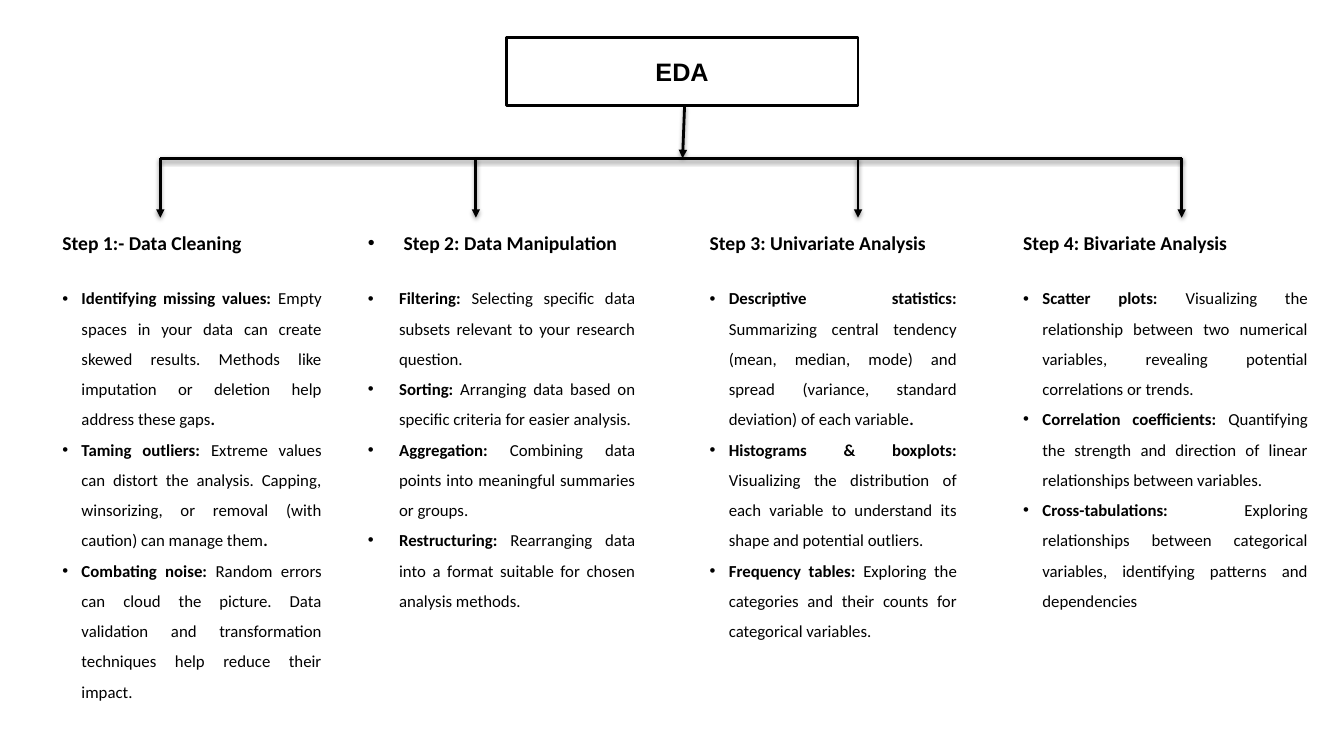
from lxml import etree
from pptx import Presentation
from pptx.dml.color import RGBColor
from pptx.enum import shapes, text
from pptx.oxml import parse_xml
from pptx.oxml.ns import nsdecls, qn
from pptx.util import Inches, Pt

BLACK = RGBColor(0, 0, 0)
WHITE = RGBColor(255, 255, 255)

# left, width, height, indent, arrow x, heading, bulleted heading, points
STEPS = [
    (0.52, 2.77, 5.2, 0.19, 1.59, "Step 1:- Data Cleaning", False, [
        ("Identifying missing values: ",
         "Empty spaces in your data can create skewed results. Methods like "
         "imputation or deletion help address these gaps", ". "),
        ("Taming outliers: ",
         "Extreme values can distort the analysis. Capping, winsorizing, or "
         "removal (with caution) can manage them", ". "),
        ("Combating noise: ",
         "Random errors can cloud the picture. Data validation and "
         "transformation techniques help reduce their impact. "),
    ]),
    (3.55, 2.85, 3.87, 0.31, 4.72, " Step 2: Data Manipulation", True, [
        ("Filtering: ",
         "Selecting specific data subsets relevant to your research question."),
        ("Sorting: ",
         "Arranging data based on specific criteria for easier analysis."),
        ("Aggregation: ",
         "Combining data points into meaningful summaries or groups."),
        ("Restructuring: ",
         "Rearranging data into a format suitable for chosen analysis methods."),
    ]),
    (6.94, 2.65, 4.18, 0.19, 8.51, "Step 3: Univariate Analysis", False, [
        ("Descriptive statistics: ",
         "Summarizing central tendency (mean, median, mode) and spread "
         "(variance, standard deviation) of each variable", "."),
        ("Histograms & boxplots: ",
         "Visualizing the distribution of each variable to understand its "
         "shape and potential outliers."),
        ("Frequency tables: ",
         "Exploring the categories and their counts for categorical variables."),
    ]),
    (10.05, 3.02, 3.87, 0.19, 11.72, "Step 4: Bivariate Analysis", False, [
        ("Scatter plots: ",
         "Visualizing the relationship between two numerical variables, "
         "revealing potential correlations or trends."),
        ("Correlation coefficients: ",
         "Quantifying the strength and direction of linear relationships "
         "between variables."),
        ("Cross-tabulations: ",
         "Exploring relationships between categorical variables, identifying "
         "patterns and dependencies"),
    ]),
]
ROOT = (5.02, 0.37, 3.49, 0.68)
BAR_Y, TIP_Y, TEXT_Y = 1.57, 2.16, 2.24
SHADOW = (
    f'<a:effectLst {nsdecls("a")}><a:outerShdw blurRad="{Pt(3.1)}" '
    f'dist="{Pt(1.6)}" dir="5400000" rotWithShape="0"><a:srgbClr val="000000">'
    '<a:alpha val="38000"/></a:srgbClr></a:outerShdw></a:effectLst>')


def style(run, size, bold, face="Calibri"):
    font = run.font
    font.name, font.size, font.bold = face, Pt(size), bold
    font.color.rgb = BLACK


def link(slide, x1, y1, x2, y2, arrow=True):
    """Draw a shadowed line, with an arrowhead at its end if wanted."""
    line = slide.shapes.add_connector(
        shapes.MSO_CONNECTOR.STRAIGHT, *map(Inches, (x1, y1, x2, y2)))
    line.line.color.rgb = BLACK
    line.line.width = Pt(2)
    if arrow:
        etree.SubElement(line.line._get_or_add_ln(), qn("a:tailEnd"),
                         type="triangle")
    line._element.spPr.append(parse_xml(SHADOW))


def bullet(para, indent):
    props = para._p.get_or_add_pPr()
    props.set("marL", str(Inches(indent)))
    props.set("indent", str(-Inches(indent)))
    etree.SubElement(props, qn("a:buFont"), typeface="Arial")
    etree.SubElement(props, qn("a:buChar"), char="•")


def add_step(slide, left, width, height, indent, title, dotted, points):
    box = slide.shapes.add_textbox(
        *map(Inches, (left, TEXT_Y, width, height)))
    frame = box.text_frame
    frame.word_wrap = True
    frame.text = title
    head = frame.paragraphs[0]
    head.space_after = Pt(17)
    style(head.runs[0], 14, True)
    if dotted:
        bullet(head, indent)
    for point in points:
        para = frame.add_paragraph()
        para.alignment = text.PP_ALIGN.JUSTIFY
        para.line_spacing = 1.5
        bullet(para, indent)
        for i, part in enumerate(point):
            run = para.add_run()
            run.text = part
            style(run, 12, i != 1)


def add_root(slide):
    box = slide.shapes.add_shape(
        shapes.MSO_SHAPE.RECTANGLE, *map(Inches, ROOT))
    box.shadow.inherit = False
    box.fill.solid()
    box.fill.fore_color.rgb = WHITE
    box.line.color.rgb = BLACK
    box.line.width = Pt(2)
    frame = box.text_frame
    frame.text = "EDA"
    frame.vertical_anchor = text.MSO_ANCHOR.MIDDLE
    frame.paragraphs[0].alignment = text.PP_ALIGN.CENTER
    style(frame.paragraphs[0].runs[0], 18, True, "Arial")


def main():
    deck = Presentation()
    deck.slide_width, deck.slide_height = Inches(13.33), Inches(7.5)
    slide = deck.slides.add_slide(deck.slide_layouts[6])
    add_root(slide)
    link(slide, 6.79, ROOT[1] + ROOT[3], 6.77, BAR_Y)
    link(slide, STEPS[0][4], BAR_Y, STEPS[-1][4], BAR_Y, arrow=False)
    for left, width, height, indent, x, title, dotted, points in STEPS:
        link(slide, x, BAR_Y, x, TIP_Y)
        add_step(slide, left, width, height, indent, title, dotted, points)
    deck.save("out.pptx")


if __name__ == "__main__":
    main()
